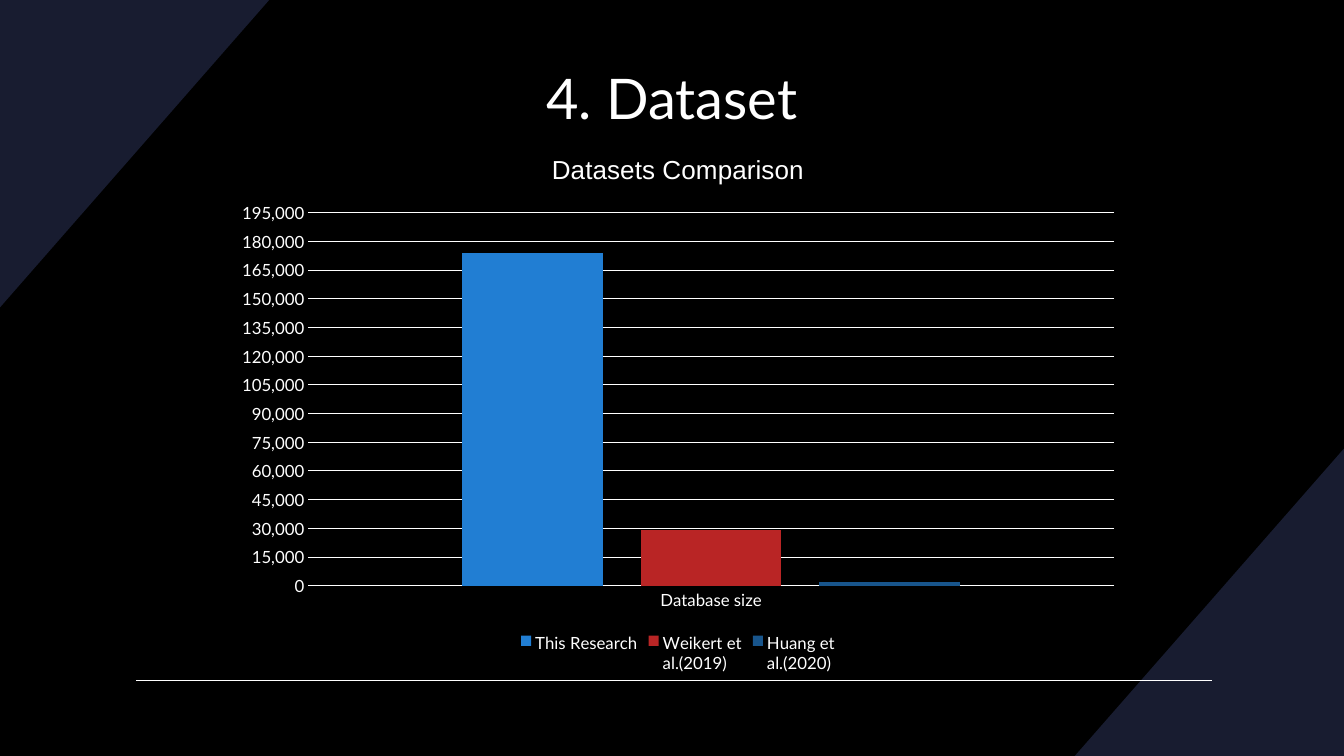
from pptx import Presentation
from pptx.chart.data import CategoryChartData
from pptx.dml.color import RGBColor
from pptx.enum.chart import XL_CHART_TYPE, XL_LEGEND_POSITION, XL_TICK_MARK
from pptx.enum.shapes import MSO_CONNECTOR
from pptx.enum.text import MSO_ANCHOR, PP_ALIGN
from pptx.oxml import parse_xml
from pptx.oxml.ns import nsdecls
from pptx.util import Inches, Pt

COLUMNS = XL_CHART_TYPE.COLUMN_CLUSTERED
BOTTOM = XL_LEGEND_POSITION.BOTTOM
NO_TICK = XL_TICK_MARK.NONE
STRAIGHT = MSO_CONNECTOR.STRAIGHT
MIDDLE = MSO_ANCHOR.MIDDLE
CENTER = PP_ALIGN.CENTER

HEADING = "4. Dataset"
CHART_TITLE = "Datasets Comparison"
CATEGORIES = ["Database size"]
DATASETS = [
    ("This Research", 174000, "217ED3"),
    ("Weikert et\nal.(2019)", 29000, "B92525"),
    ("Huang et\nal.(2020)", 2000, "18558C"),
]
SCALE_MAX, SCALE_STEP = 195000, 15000

THEME = {
    "background": "000000", "corner": "181C30", "ink": "FFFFFF",
    "font": "Lato", "chart_title_font": "Arial",
    "heading": 40, "chart_title": 18.6, "label": 12,
    "rule": 1, "grid": 0.75,
}

WIDTH, HEIGHT = 13.33, 7.5
CORNER_W, CORNER_H = 2.67, 3.05
CORNERS = [
    [(WIDTH, HEIGHT - CORNER_H), (WIDTH, HEIGHT), (WIDTH - CORNER_W, HEIGHT)],
    [(0, CORNER_H), (0, 0), (CORNER_W, 0)],
]
RULE_LEFT, RULE_RIGHT, RULE_Y = 1.35, 12.02, 6.75
HEADING_BOX = (0, 0.22, WIDTH, 1.49)
CHART_BOX = (2.22, 1.3, 9.01, 5.41)
PLOT_BOX = (3.06, 2.11, 7.99, 3.7)
CHART_TITLE_AT = (5.47, 1.54)


def color(name):
    return RGBColor.from_string(THEME.get(name, name))


def set_font(font, size, family="font"):
    font.name = THEME[family]
    font.size = Pt(THEME[size])
    font.bold = False
    font.color.rgb = color("ink")


def set_line(line, width):
    line.color.rgb = color("ink")
    line.width = Pt(THEME[width])


def manual_layout(box, target=""):
    left, top, width, height = CHART_BOX
    fractions = [(box[0] - left) / width, (box[1] - top) / height]
    fractions += [extent / whole for extent, whole in zip(box[2:], (width, height))]
    modes = '<c:xMode val="edge"/><c:yMode val="edge"/>'
    places = "".join(f'<c:{key} val="{part:.3f}"/>' for key, part in zip("xywh", fractions))
    return parse_xml(f'<c:layout {nsdecls("c")}><c:manualLayout>{target}{modes}{places}'
                     '</c:manualLayout></c:layout>')


def add_corner(slide, points):
    start, *rest = [(Inches(x), Inches(y)) for x, y in points]
    outline = slide.shapes.build_freeform(*start)
    outline.add_line_segments(rest, close=True)
    corner = outline.convert_to_shape()
    corner.shadow.inherit = False
    corner.fill.solid()
    corner.fill.fore_color.rgb = color("corner")
    corner.line.fill.background()


def add_rule(slide):
    rule = slide.shapes.add_connector(
        STRAIGHT, Inches(RULE_LEFT), Inches(RULE_Y), Inches(RULE_RIGHT), Inches(RULE_Y))
    set_line(rule.line, "rule")
    rule._element.spPr.append(parse_xml(f'<a:effectLst {nsdecls("a")}/>'))


def add_heading(slide):
    frame = slide.shapes.add_textbox(*map(Inches, HEADING_BOX)).text_frame
    frame.word_wrap = True
    frame.vertical_anchor = MIDDLE
    heading = frame.paragraphs[0]
    heading.text = HEADING
    heading.alignment = CENTER
    set_font(heading.font, "heading")


def add_comparison(slide):
    data = CategoryChartData(number_format="#,##0")
    data.categories = CATEGORIES
    for name, size, _ in DATASETS:
        data.add_series(name, [size])
    chart = slide.shapes.add_chart(COLUMNS, *map(Inches, CHART_BOX), data).chart
    set_font(chart.font, "label")

    chart.has_title = True
    title = chart.chart_title
    title.include_in_layout = False
    caption = title.text_frame.paragraphs[0]
    caption.text = CHART_TITLE
    set_font(caption.font, "chart_title", "chart_title_font")
    title._element.get_or_add_tx().addnext(manual_layout(CHART_TITLE_AT))

    chart.has_legend = True
    chart.legend.position = BOTTOM
    chart.legend.include_in_layout = False
    set_font(chart.legend.font, "label")

    for axis in (chart.category_axis, chart.value_axis):
        axis.major_tick_mark = axis.minor_tick_mark = NO_TICK
        set_font(axis.tick_labels.font, "label")
    set_line(chart.category_axis.format.line, "grid")
    sizes = chart.value_axis
    sizes.format.line.fill.background()
    sizes.minimum_scale, sizes.maximum_scale = 0, SCALE_MAX
    sizes.major_unit = SCALE_STEP
    sizes.tick_labels.number_format = "#,##0"
    sizes.tick_labels.number_format_is_linked = False
    set_line(sizes.major_gridlines.format.line, "grid")

    plot = chart.plots[0]
    plot.vary_by_categories = False
    plot.gap_width, plot.overlap = 219, -27
    for series, (_, _, fill) in zip(plot.series, DATASETS):
        series.invert_if_negative = False
        series.format.fill.solid()
        series.format.fill.fore_color.rgb = color(fill)

    area = chart._chartSpace.chart.plotArea
    for layout in area.findall("{*}layout"):
        area.remove(layout)
    area.insert(0, manual_layout(PLOT_BOX, '<c:layoutTarget val="inner"/>'))


def main():
    deck = Presentation()
    deck.slide_width, deck.slide_height = Inches(WIDTH), Inches(HEIGHT)
    slide = deck.slides.add_slide(deck.slide_layouts[6])
    slide.background.fill.solid()
    slide.background.fill.fore_color.rgb = color("background")
    for points in CORNERS:
        add_corner(slide, points)
    add_rule(slide)
    add_heading(slide)
    add_comparison(slide)
    deck.save("out.pptx")


if __name__ == "__main__":
    main()
